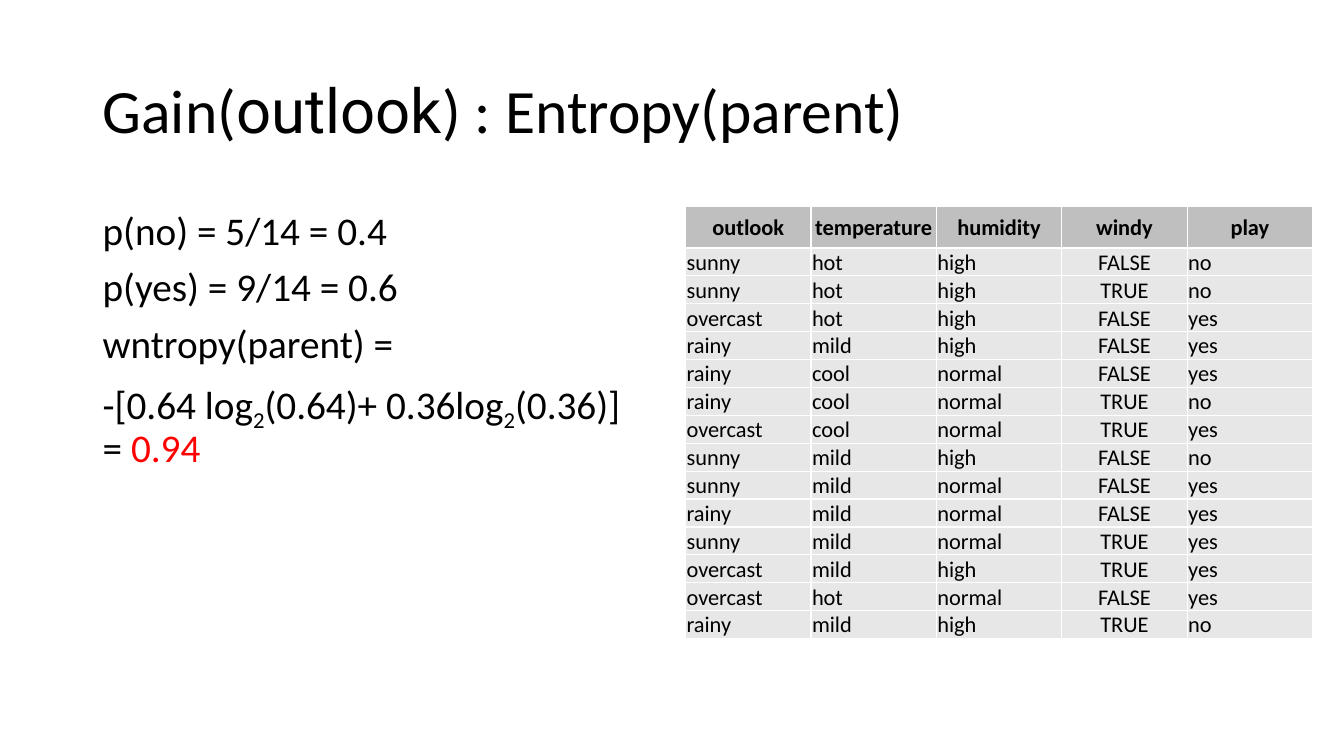
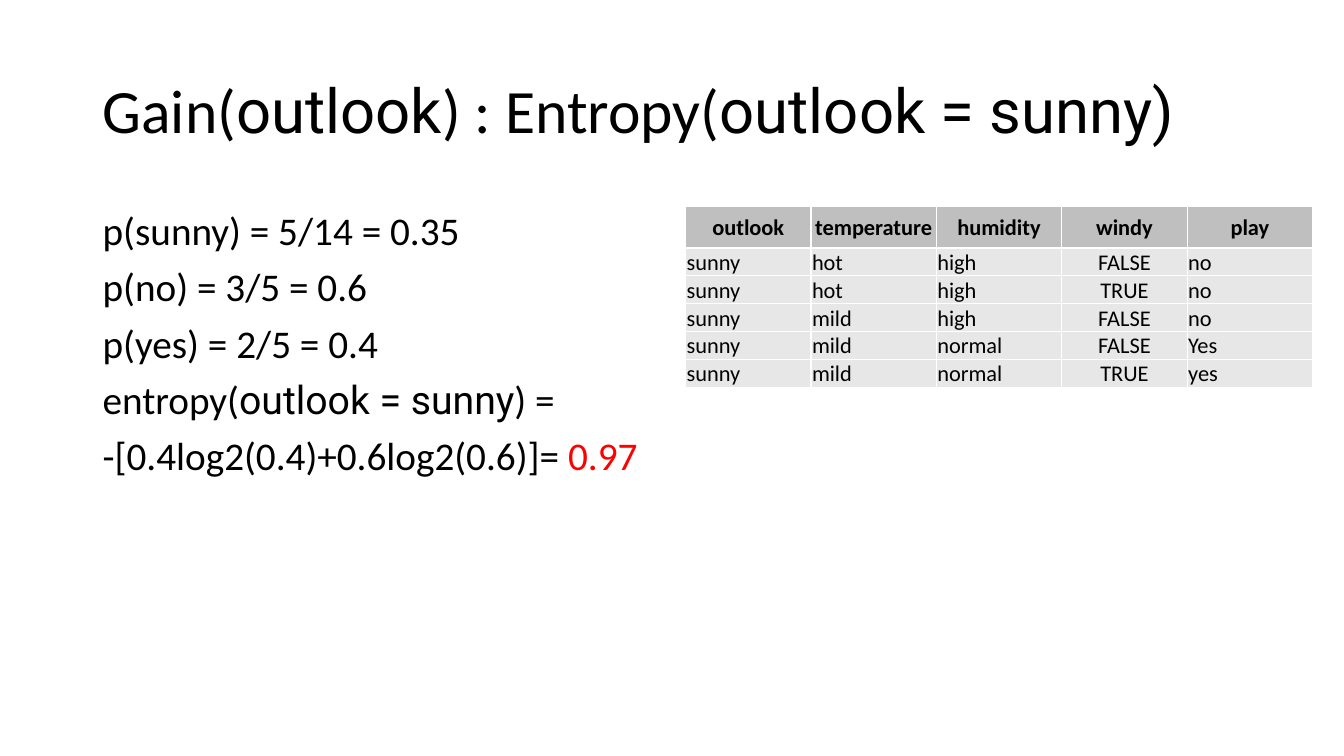
from lxml.etree import SubElement
from pptx import Presentation
from pptx.dml.color import RGBColor
from pptx.enum.text import MSO_ANCHOR as Anchor, PP_ALIGN as Align
from pptx.oxml.ns import qn
from pptx.util import Inches, Pt

HEADERS = ["outlook", "temperature", "humidity", "windy", "play"]
WEATHER = [line.split() for line in """
sunny hot high FALSE no
sunny hot high TRUE no
overcast hot high FALSE yes
rainy mild high FALSE yes
rainy cool normal FALSE yes
rainy cool normal TRUE no
overcast cool normal TRUE yes
sunny mild high FALSE no
sunny mild normal FALSE yes
rainy mild normal FALSE yes
sunny mild normal TRUE yes
overcast mild high TRUE yes
overcast hot normal FALSE yes
rainy mild high TRUE no
""".strip().splitlines()]


def color(value):
    return RGBColor.from_string(value)


def add_span(para, text, font="Calibri", size=28, ink="000000", bold=False, sub=False):
    span = para.add_run()
    span.text = text
    span.font.name = font
    span.font.size = Pt(size)
    span.font.bold = bold
    span.font.color.rgb = color(ink)
    if sub:
        span.font._element.set("baseline", "-25000")


def add_borders(cell, ink, width):
    props = cell._tc.get_or_add_tcPr()
    for side in ("lnL", "lnR", "lnT", "lnB"):
        line = SubElement(props, qn(f"a:{side}"), w=str(Pt(width)))
        SubElement(SubElement(line, qn("a:solidFill")), qn("a:srgbClr"), val=ink)


class Deck:
    LEFT, BODY_TOP = 0.92, 2.05
    ALT_FONT, RESULT = "Roboto", "FF0000"
    HEADER_FILL, CELL_FILL, BORDER = "BFBFBF", "E7E7E7", "FFFFFF"

    def __init__(self):
        self.deck = Presentation()
        self.deck.slide_width = Inches(13.33)
        self.deck.slide_height = Inches(7.5)
        self.page = None

    def add_page(self):
        self.page = self.deck.slides.add_slide(self.deck.slide_layouts[6])

    def text(self, top, width, height, lines, size, anchor=Anchor.TOP, before=0):
        """Each line is a list of (text, format) pairs."""
        box = self.page.shapes.add_textbox(
            Inches(self.LEFT), Inches(top), Inches(width), Inches(height))
        frame = box.text_frame
        frame.word_wrap = True
        frame.vertical_anchor = anchor
        for index, spans in enumerate(lines):
            para = frame.add_paragraph() if index else frame.paragraphs[0]
            para.line_spacing = 0.9
            para.space_before = Pt(before)
            for text, style in spans:
                add_span(para, text, size=size, **style)

    def title(self, spans):
        self.text(0.4, 11.5, 1.45, [spans], 44, Anchor.MIDDLE)

    def body(self, width, lines):
        self.text(self.BODY_TOP, width, 5.15, lines, 28, before=10)

    def table(self, rows):
        width, header_height, row_height = 6.22, 0.41, 0.27
        table = self.page.shapes.add_table(
            len(rows) + 1, len(HEADERS), Inches(6.8), Inches(self.BODY_TOP),
            Inches(width), Inches(header_height + row_height * len(rows))).table
        table.horz_banding = False
        for column in table.columns:
            column.width = Inches(width / len(HEADERS))
        for r, values in enumerate([HEADERS] + rows):
            is_header = r == 0
            table.rows[r].height = Inches(header_height if is_header else row_height)
            for c, value in enumerate(values):
                self.cell(table.cell(r, c), value, is_header,
                          is_header or HEADERS[c] == "windy")

    def cell(self, cell, value, is_header, centered):
        add_borders(cell, self.BORDER, 1)
        cell.fill.solid()
        cell.fill.fore_color.rgb = color(self.HEADER_FILL if is_header else self.CELL_FILL)
        cell.margin_left = cell.margin_right = cell.margin_top = Inches(0.01)
        cell.margin_bottom = 0
        cell.vertical_anchor = Anchor.MIDDLE if is_header else Anchor.BOTTOM
        para = cell.text_frame.paragraphs[0]
        para.alignment = Align.CENTER if centered else Align.LEFT
        add_span(para, value, size=16, bold=is_header)


def main():
    deck = Deck()
    plain, sub = {}, {"sub": True}
    alt, result = {"font": deck.ALT_FONT}, {"ink": deck.RESULT}
    gain = [("Gain(", plain), ("outlook", alt)]

    # Entropy of the whole data set
    deck.add_page()
    deck.title(gain + [(") : Entropy(parent)", plain)])
    deck.body(5.51, [
        [("p(no) = 5/14 = 0.4", plain)],
        [("p(yes) = 9/14 = 0.6", plain)],
        [("wntropy(parent) =", plain)],
        [("-[0.64 log", plain), ("2", sub), ("(0.64)+ 0.36log", plain), ("2", sub),
         ("(0.36)] = ", plain), ("0.94", result)],
    ])
    deck.table(WEATHER)

    # Entropy of the sunny days
    deck.add_page()
    deck.title(gain + [(") : Entropy(", plain), ("outlook = sunny)", alt)])
    deck.body(5.88, [
        [("p(sunny) = 5/14 = 0.35", plain)],
        [("p(no) = 3/5 = 0.6", plain)],
        [("p(yes) = 2/5 = 0.4", plain)],
        [("entropy(", plain), ("outlook = sunny", alt), (") =", plain)],
        [("-[0.4log2(0.4)+0.6log2(0.6)]= ", plain), ("0.97", result)],
    ])
    sunny = [list(row) for row in WEATHER if row[0] == "sunny"]
    sunny[3][-1] = "Yes"
    deck.table(sunny)

    deck.deck.save("out.pptx")


if __name__ == "__main__":
    main()
